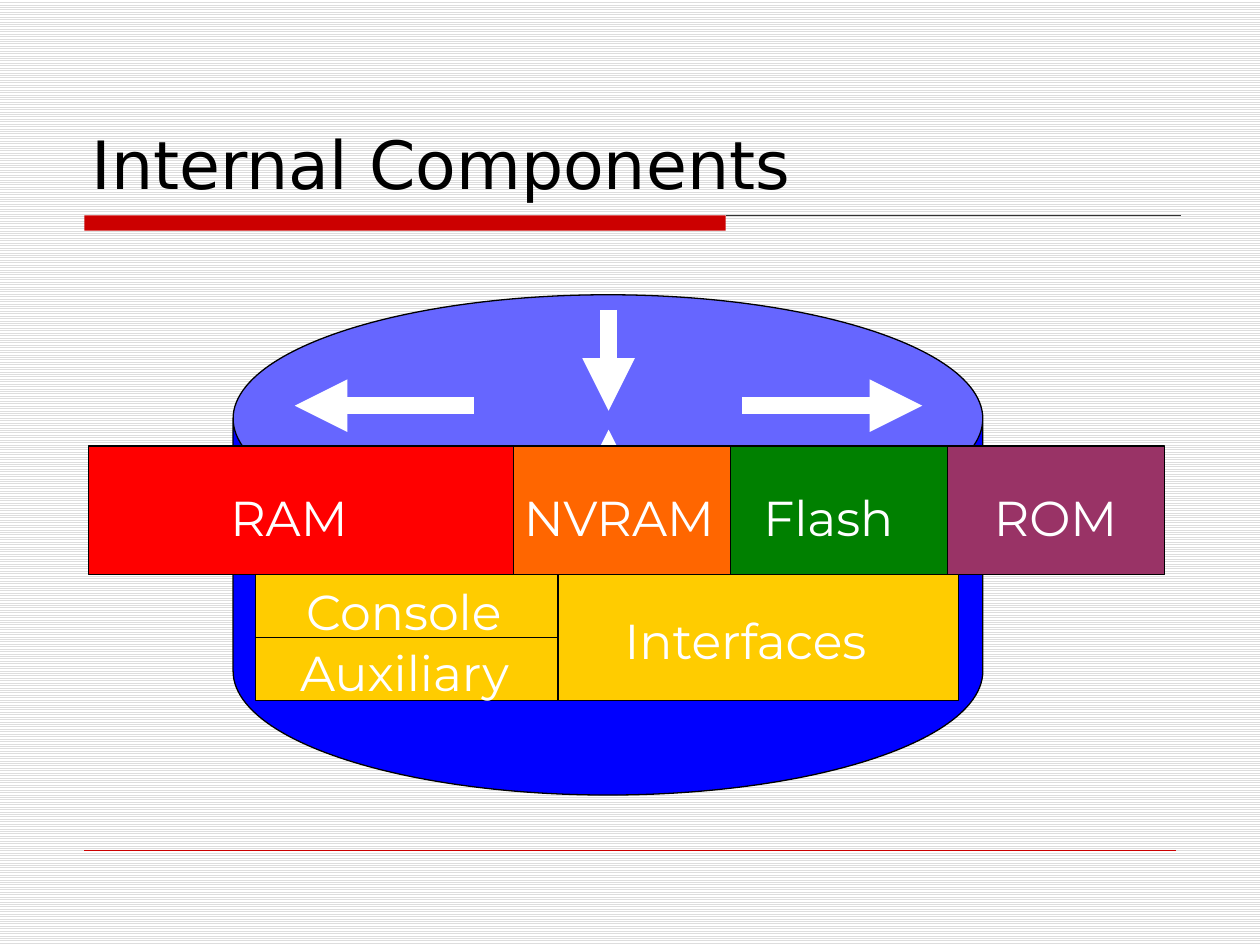
"""Build the slide on the internal components of a router."""
from lxml import etree
from pptx import Presentation
from pptx.dml.color import RGBColor
from pptx.enum.dml import MSO_PATTERN
from pptx.enum.shapes import MSO_CONNECTOR, MSO_SHAPE
from pptx.enum.text import MSO_ANCHOR, MSO_AUTO_SIZE, PP_ALIGN
from pptx.oxml.ns import qn
from pptx.util import Inches, Pt

RECTANGLE, CAN = MSO_SHAPE.RECTANGLE, MSO_SHAPE.CAN
STRAIGHT = MSO_CONNECTOR.STRAIGHT
LIGHT_HORIZONTAL = MSO_PATTERN.LIGHT_HORIZONTAL
TOP, BOTTOM = MSO_ANCHOR.TOP, MSO_ANCHOR.BOTTOM
LEFT, CENTER = PP_ALIGN.LEFT, PP_ALIGN.CENTER
GROW, FIXED = MSO_AUTO_SIZE.SHAPE_TO_FIT_TEXT, MSO_AUTO_SIZE.NONE

BLACK = RGBColor(0x00, 0x00, 0x00)
WHITE = RGBColor(0xFF, 0xFF, 0xFF)
STRIPE = RGBColor(0xDD, 0xDD, 0xDD)
CHARCOAL = RGBColor(0x33, 0x33, 0x33)
CRIMSON = RGBColor(0xCC, 0x00, 0x00)
BLUE = RGBColor(0x00, 0x00, 0xFF)
RED = RGBColor(0xFF, 0x00, 0x00)
ORANGE = RGBColor(0xFF, 0x66, 0x00)
GREEN = RGBColor(0x00, 0x80, 0x00)
PLUM = RGBColor(0x99, 0x33, 0x66)
YELLOW = RGBColor(0xFF, 0xCC, 0x00)

COLUMNS, ROWS = 100, 75
CELL = Inches(0.1)

deck = Presentation()
deck.slide_width, deck.slide_height = COLUMNS * CELL, ROWS * CELL
slide = deck.slides.add_slide(deck.slide_layouts[6])
backdrop = slide.background.fill
backdrop.patterned()
backdrop.pattern = LIGHT_HORIZONTAL
backdrop.fore_color.rgb, backdrop.back_color.rgb = STRIPE, WHITE


def add_block(kind, place, color, outlined=True):
    block = slide.shapes.add_shape(kind, *[round(n * CELL) for n in place])
    block.shadow.inherit = False
    block.fill.solid()
    block.fill.fore_color.rgb = color
    if outlined:
        block.line.color.rgb = BLACK
        block.line.width = Pt(0.75)
    else:
        block.line.fill.background()
    return block


def add_line(ends, color, width, arrow=False):
    line = slide.shapes.add_connector(STRAIGHT, *[round(n * CELL) for n in ends])
    line.line.color.rgb = color
    line.line.width = Pt(width)
    properties = line._element.spPr
    if arrow:
        etree.SubElement(properties.find(qn("a:ln")), qn("a:tailEnd"), type="triangle")
    etree.SubElement(properties, qn("a:effectLst"))


add_block(RECTANGLE, (6.7, 17.1, 50.9, 1.2), CRIMSON, outlined=False)
add_line((57.6, 17.1, 93.7, 17.1), CHARCOAL, 0.75)
add_line((6.7, 67.5, 93.3, 67.5), CRIMSON, 0.25)

router = add_block(CAN, (18.5, 23.4, 59.5, 39.7), BLUE)
router.adjustments[0] = 0.495
for arrow_ends in (
    (37.6, 32.2, 23.4, 32.2),
    (58.9, 32.2, 73.2, 32.2),
    (48.3, 24.6, 48.3, 32.6),
    (48.3, 42.1, 48.3, 34.1),
):
    add_line(arrow_ends, WHITE, 10, arrow=True)

MEMORY_TOP, MEMORY_HEIGHT = 35.4, 10.2
PORT_TOP, PORT_HEIGHT = MEMORY_TOP + MEMORY_HEIGHT, 5
add_block(RECTANGLE, (7, MEMORY_TOP, 33.8, MEMORY_HEIGHT), RED)
for index, memory_color in enumerate((ORANGE, GREEN, PLUM)):
    memory_left = 40.75 + index * 17.22
    add_block(RECTANGLE, (memory_left, MEMORY_TOP, 17.22, MEMORY_HEIGHT), memory_color)
add_block(RECTANGLE, (44.1, PORT_TOP, 32, 2 * PORT_HEIGHT), YELLOW)
for index in range(2):
    port_top = PORT_TOP + index * PORT_HEIGHT
    add_block(RECTANGLE, (20.3, port_top, 24, PORT_HEIGHT), YELLOW)

TITLE_STYLE = ("DejaVu Sans", 38, BLACK, LEFT, BOTTOM, True, FIXED)
LABEL_STYLE = ("Montserrat", 28, WHITE, LEFT, TOP, False, GROW)
PORT_STYLE = ("Montserrat", 28, WHITE, CENTER, TOP, False, GROW)
for words, place, style in (
    ("Internal Components", (6.3, 3.3, 87.5, 13.3), TITLE_STYLE),
    ("RAM", (17.3, 38.2, 11.7, 5.7), LABEL_STYLE),
    ("NVRAM", (40.6, 38.2, 18, 5.7), LABEL_STYLE),
    ("Flash", (59.6, 38.2, 13.5, 5.7), LABEL_STYLE),
    ("ROM", (77.9, 38.2, 11.9, 5.7), LABEL_STYLE),
    ("Interfaces", (48.6, 48, 23.8, 5.7), LABEL_STYLE),
    ("Console", (22.5, 45.7, 19.1, 5.7), PORT_STYLE),
    ("Auxiliary", (21.7, 50.5, 20.8, 5.7), PORT_STYLE),
):
    typeface, size, color, alignment, anchor, wraps, fit = style
    frame = slide.shapes.add_textbox(*[round(n * CELL) for n in place]).text_frame
    frame.word_wrap, frame.auto_size, frame.vertical_anchor = wraps, fit, anchor
    paragraph = frame.paragraphs[0]
    paragraph.alignment = alignment
    run = paragraph.add_run()
    run.text = words
    run.font.name, run.font.size = typeface, Pt(size)
    run.font.color.rgb = color

deck.save("out.pptx")
